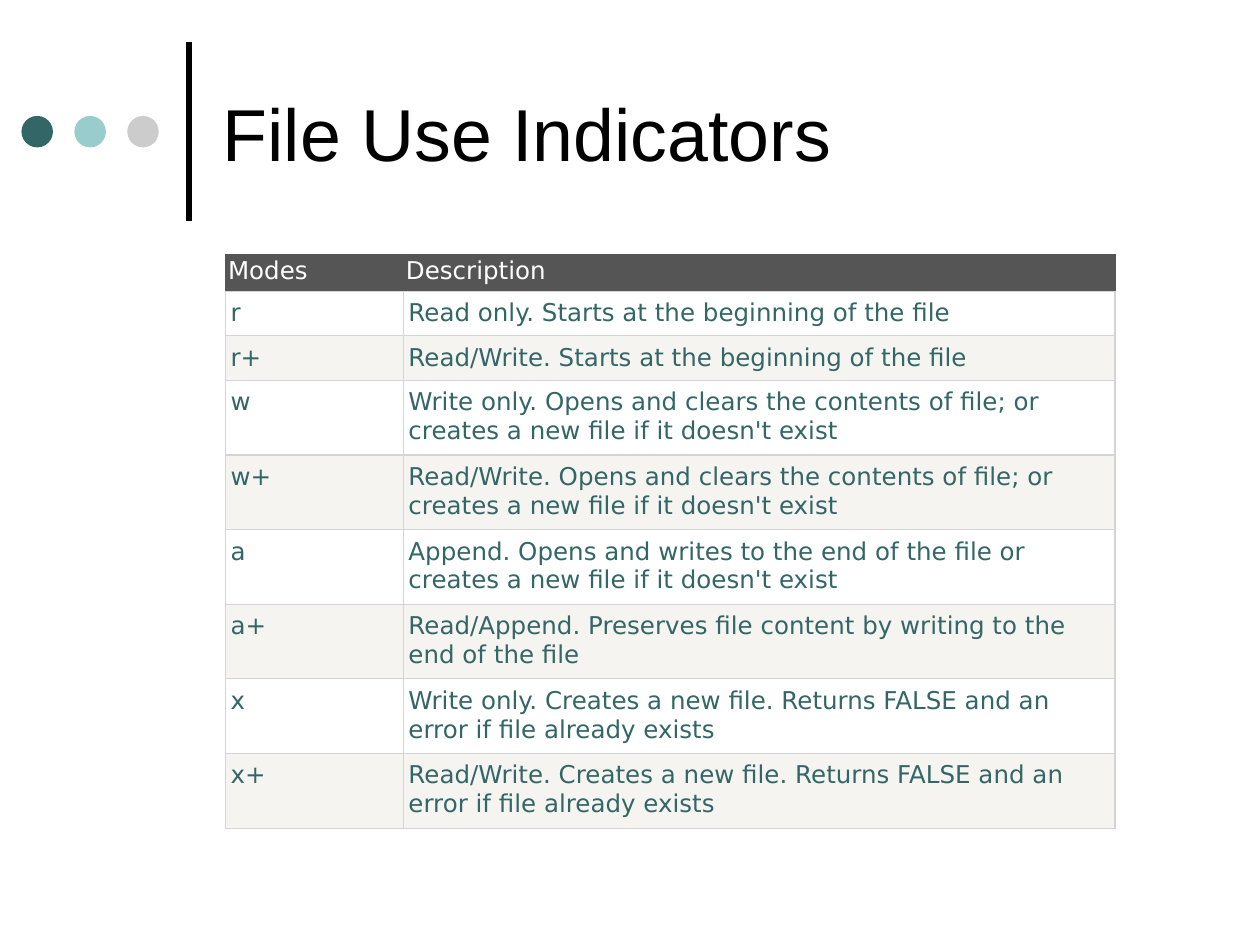
from dataclasses import dataclass

from lxml.etree import SubElement
from pptx import Presentation
from pptx.dml.color import RGBColor
from pptx.enum.shapes import MSO_CONNECTOR, MSO_SHAPE
from pptx.enum.text import MSO_ANCHOR
from pptx.oxml.ns import qn
from pptx.util import Inches, Pt

TITLE = "File Use Indicators"
HEADER = ("Modes", "Description")
MODES = [
    ("r", "Read only. Starts at the beginning of the file"),
    ("r+", "Read/Write. Starts at the beginning of the file"),
    ("w", "Write only. Opens and clears the contents of file; or creates a new file if it doesn't exist"),
    ("w+", "Read/Write. Opens and clears the contents of file; or creates a new file if it doesn't exist"),
    ("a", "Append. Opens and writes to the end of the file or creates a new file if it doesn't exist"),
    ("a+", "Read/Append. Preserves file content by writing to the end of the file"),
    ("x", "Write only. Creates a new file. Returns FALSE and an error if file already exists"),
    ("x+", "Read/Write. Creates a new file. Returns FALSE and an error if file already exists"),
]


@dataclass(frozen=True)
class Theme:
    title_font: str = "Arial"
    table_font: str = "DejaVu Sans"
    title_size: int = 42
    table_size: int = 14
    rule_width: float = 3
    border_width: float = 0.75
    black: str = "000000"
    white: str = "FFFFFF"
    teal: str = "336666"
    header: str = "555555"
    band: str = "F6F4F0"
    border: str = "D4D4D4"
    dots: tuple = ("336666", "99CCCC", "CCCCCC")


THEME = Theme()
SLIDE_W, SLIDE_H = 10, 7.5
DOT_LEFT, DOT_TOP, DOT_SIZE, DOT_STEP = 0.17, 0.92, 0.25, 0.42
RULE_X, RULE_TOP, RULE_BOTTOM = 1.5, 0.33, 1.75
TITLE_BOX = (1.67, 0.21, 7.67, 1.67)
TABLE_BOX = (1.79, 2.02, 7.06, 4.55)
COLUMN_SHARES = (0.2, 0.8)
HEADER_H, ONE_LINE_H, TWO_LINE_H = 0.29, 0.35, 0.59
ONE_LINE_CHARS = 50
HEADER_INSETS = (0.02, 0.02)
BODY_INSETS = (0.04, 0.06)


def rgb(value):
    return RGBColor.from_string(value)


def style_text(tf, font, size, color):
    for p in tf.paragraphs:
        for r in p.runs:
            r.font.name = font
            r.font.size = Pt(size)
            r.font.color.rgb = rgb(color)


def set_borders(cell, sides):
    """Draw the cell's borders; they must come before its fill in the XML."""
    tc_pr = cell._tc.get_or_add_tcPr()
    for tag, color in sides.items():
        ln = SubElement(tc_pr, qn(f"a:{tag}"), w=str(Pt(THEME.border_width)))
        fill = SubElement(ln, qn("a:solidFill"))
        SubElement(fill, qn("a:srgbClr"), val=color)


def add_decoration(slide):
    rule = slide.shapes.add_connector(
        MSO_CONNECTOR.STRAIGHT,
        *map(Inches, (RULE_X, RULE_BOTTOM, RULE_X, RULE_TOP)))
    rule.line.color.rgb = rgb(THEME.black)
    rule.line.width = Pt(THEME.rule_width)
    SubElement(rule._element.spPr, qn("a:effectLst"))
    for i, color in enumerate(THEME.dots):
        box = (DOT_LEFT + i * DOT_STEP, DOT_TOP, DOT_SIZE, DOT_SIZE)
        dot = slide.shapes.add_shape(MSO_SHAPE.OVAL, *map(Inches, box))
        dot.shadow.inherit = False
        dot.fill.solid()
        dot.fill.fore_color.rgb = rgb(color)
        dot.line.fill.background()


def add_title(slide):
    tf = slide.shapes.add_textbox(*map(Inches, TITLE_BOX)).text_frame
    tf.word_wrap = True
    tf.vertical_anchor = MSO_ANCHOR.MIDDLE
    tf.text = TITLE
    style_text(tf, THEME.title_font, THEME.title_size, THEME.black)


def fill_cell(cell, text, insets, color, background, sides):
    cell.text_frame.text = text
    style_text(cell.text_frame, THEME.table_font, THEME.table_size, color)
    cell.margin_left = cell.margin_right = Inches(insets[0])
    cell.margin_top = cell.margin_bottom = Inches(insets[1])
    set_borders(cell, sides)
    cell.fill.solid()
    cell.fill.fore_color.rgb = rgb(background)


def add_modes_table(slide):
    rows = [HEADER, *MODES]
    table = slide.shapes.add_table(
        len(rows), len(HEADER), *map(Inches, TABLE_BOX)).table
    for column, share in zip(table.columns, COLUMN_SHARES):
        column.width = Inches(TABLE_BOX[2] * share)

    heights = [HEADER_H] + [
        ONE_LINE_H if len(description) < ONE_LINE_CHARS else TWO_LINE_H
        for _, description in MODES]
    scale = TABLE_BOX[3] / sum(heights)
    body_sides = dict.fromkeys(("lnL", "lnR", "lnT", "lnB"), THEME.border)
    header_sides = dict.fromkeys(body_sides, THEME.header) | {"lnB": THEME.border}

    for i, (values, height) in enumerate(zip(rows, heights)):
        table.rows[i].height = Inches(height * scale)
        if i == 0:
            style = (HEADER_INSETS, THEME.white, THEME.header, header_sides)
        else:
            background = THEME.white if i % 2 else THEME.band
            style = (BODY_INSETS, THEME.teal, background, body_sides)
        for j, text in enumerate(values):
            fill_cell(table.cell(i, j), text, *style)


def main():
    prs = Presentation()
    prs.slide_width, prs.slide_height = Inches(SLIDE_W), Inches(SLIDE_H)
    slide = prs.slides.add_slide(prs.slide_layouts[6])
    add_decoration(slide)
    add_title(slide)
    add_modes_table(slide)
    prs.save("out.pptx")


if __name__ == "__main__":
    main()
